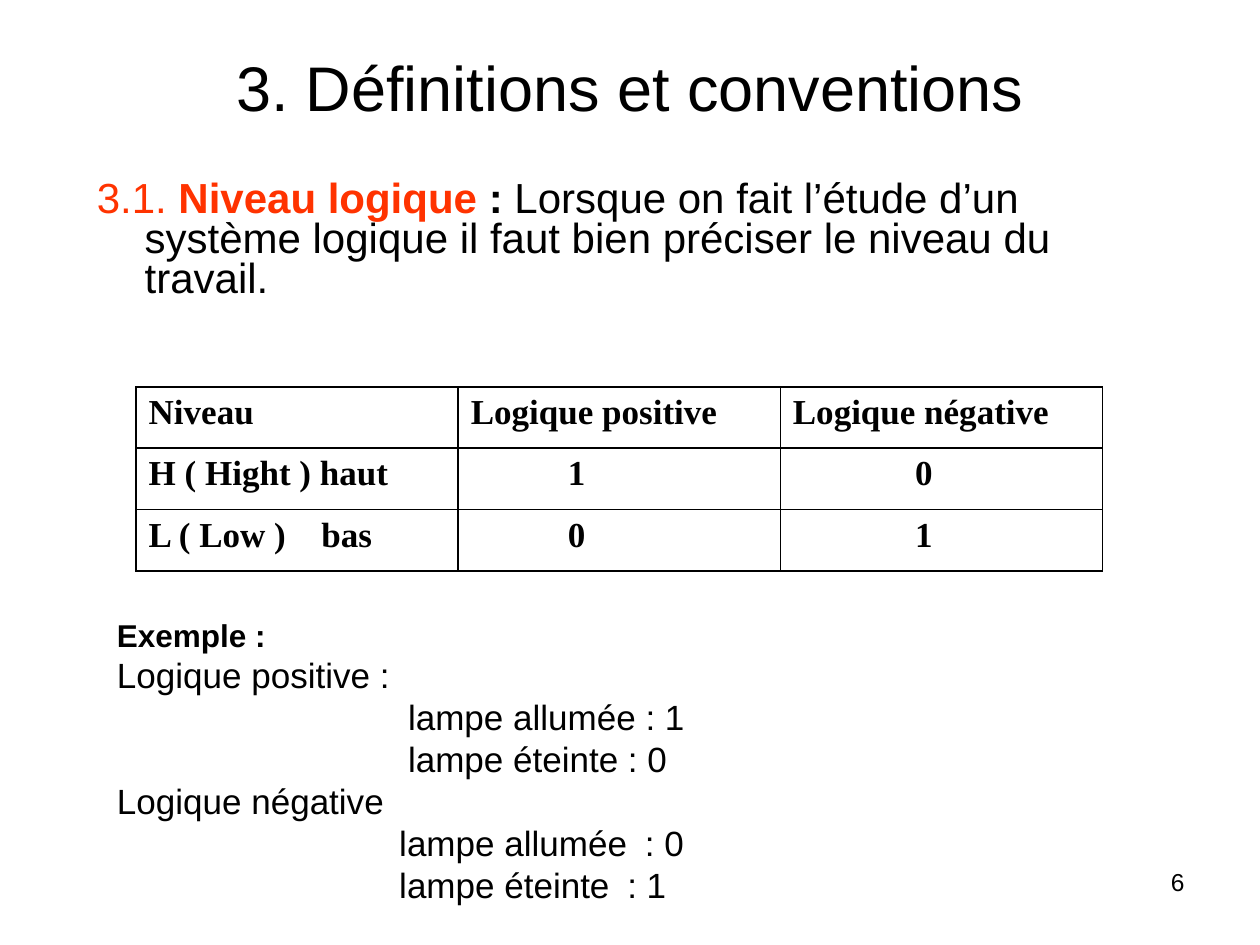
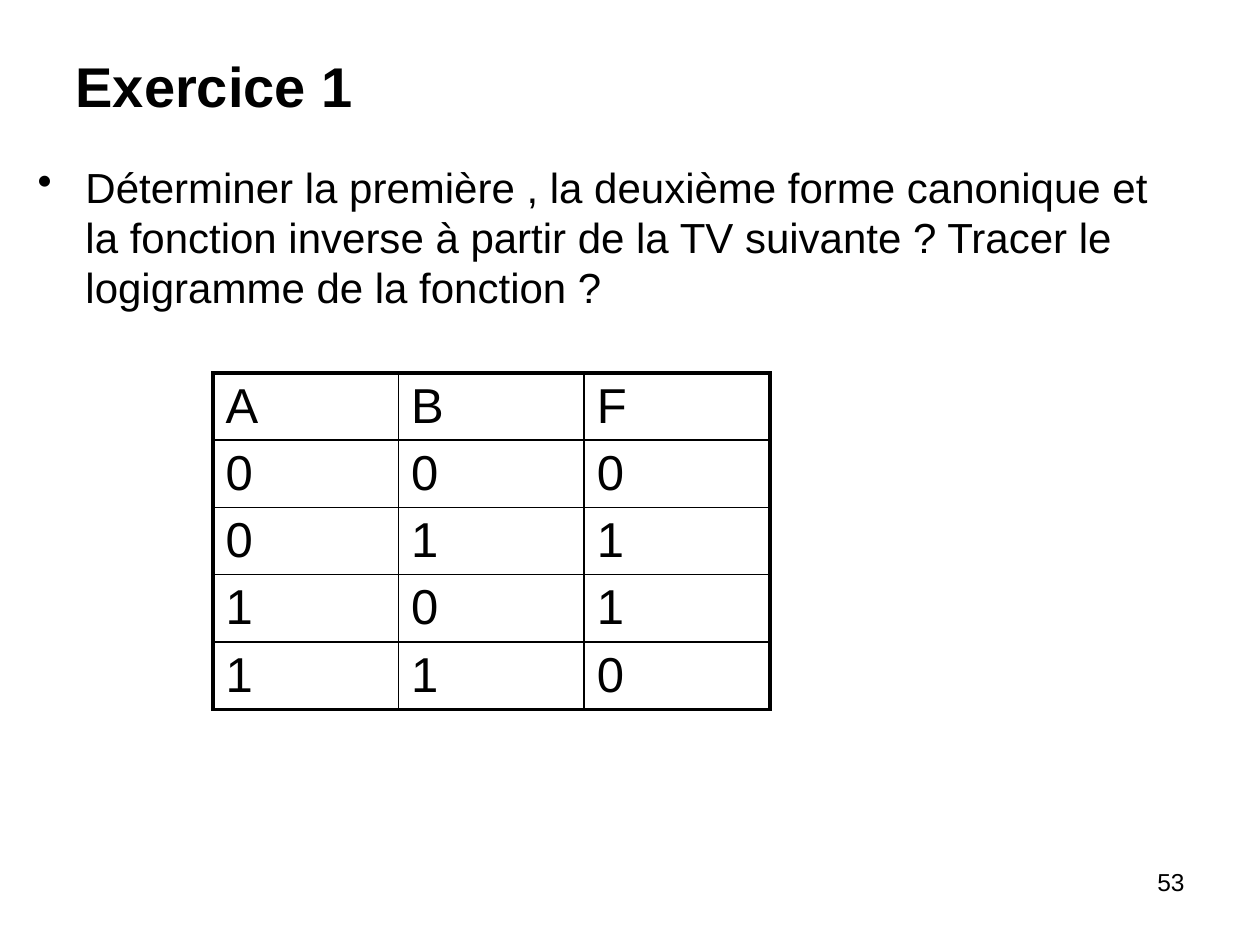
"""Build two slides of a logic course: level conventions and a truth table exercise."""
from lxml.etree import SubElement
from pptx import Presentation
from pptx.dml.color import RGBColor
from pptx.enum.text import MSO_ANCHOR, PP_ALIGN
from pptx.oxml import parse_xml
from pptx.oxml.ns import nsdecls, qn
from pptx.util import Inches, Pt

BLACK = RGBColor(0, 0, 0)
RED = RGBColor(0xFF, 0x33, 0x00)
SANS, SERIF = "Arial", "Times New Roman"
LEADING = 1.2
HANGING = 0.38
THIN, THICK = 1, 2.25

DEFINITION = [
    ("3.1. ", RED, False),
    ("Niveau logique", RED, True),
    (" :", BLACK, True),
    (" Lorsque on fait l’étude d’un système logique il faut bien préciser "
     "le niveau du travail.", BLACK, False),
]
LEVELS = [
    ["Niveau", "Logique positive", "Logique négative"],
    ["H ( Hight ) haut", "\t1", "\t0"],
    ["L ( Low )\tbas", "\t0", "\t1"],
]
LEVEL_TABS = [1.37, 0.77, 0.97]
EXAMPLES = [
    ("Logique positive :", []),
    ("\tlampe allumée : 1", [2.31]),
    ("\tlampe éteinte : 0", [2.31]),
    ("Logique négative", []),
    ("\tlampe allumée\t: 0", [2.24, 4.19]),
    ("\tlampe éteinte\t: 1", [2.24, 4.05]),
]
QUESTION = ("Déterminer la première , la deuxième forme canonique et la fonction "
            "inverse à partir de la TV suivante ? Tracer le logigramme de la fonction ?")
TRUTH_TABLE = ["ABF", "000", "011", "101", "110"]


def style(paragraph, size, bold=False, name=SANS, color=BLACK, line=None):
    """Set the font of a paragraph and, if given, its exact line height."""
    font = paragraph.font
    font.size, font.bold, font.name = Pt(size), bold, name
    font.color.rgb = color
    if line:
        paragraph.line_spacing = Pt(line)


def add_tabs(paragraph, stops):
    """Add left tab stops, in inches."""
    if stops:
        tab_list = SubElement(paragraph._p.get_or_add_pPr(), qn("a:tabLst"))
        for stop in stops:
            SubElement(tab_list, qn("a:tab"), pos=str(Inches(stop)), algn="l")


def hang(paragraph, bullet=None):
    """Give a paragraph a hanging indent and an optional bullet."""
    properties = paragraph._p.get_or_add_pPr()
    properties.set("marL", str(Inches(HANGING)))
    properties.set("indent", str(-Inches(HANGING)))
    if bullet:
        SubElement(properties, qn("a:buChar"), char=bullet)


def add_text_box(slide, *box):
    """Add a wrapping text box and return its text frame."""
    frame = slide.shapes.add_textbox(*map(Inches, box)).text_frame
    frame.word_wrap = True
    return frame


def add_slide(presentation, title, height, size, line, number, bold, alignment):
    """Add a slide with its title and page number."""
    slide = presentation.slides.add_slide(presentation.slide_layouts[5])
    shape = slide.shapes.title
    shape.left, shape.top, shape.width, shape.height = map(Inches, (0.5, 0.3, 9, height))
    shape.text_frame.text = title
    shape.text_frame.vertical_anchor = MSO_ANCHOR.MIDDLE
    paragraph = shape.text_frame.paragraphs[0]
    paragraph.alignment = alignment
    style(paragraph, size, bold, line=line)

    paragraph = add_text_box(slide, 7.17, 6.83, 2.33, 0.52).paragraphs[0]
    paragraph.text = str(number)
    paragraph.alignment = PP_ALIGN.RIGHT
    style(paragraph, 14, line=14 * LEADING)
    return slide


def set_borders(cell, widths):
    """Draw the left, right, top and bottom borders of a cell."""
    properties = cell._tc.get_or_add_tcPr()
    for index, (side, width) in enumerate(zip("LRTB", widths)):
        properties.insert(index, parse_xml(
            f'<a:ln{side} {nsdecls("a")} w="{Pt(width)}"><a:solidFill>'
            f'<a:srgbClr val="{BLACK}"/></a:solidFill></a:ln{side}>'))


def add_grid(slide, rows, box, outer, tabs=None, **text_style):
    """Add a ruled table with equal rows and columns and a given outer line width."""
    last_row, last_column = len(rows) - 1, len(rows[0]) - 1
    table = slide.shapes.add_table(last_row + 1, last_column + 1, *map(Inches, box)).table
    table.first_row = table.horz_banding = False
    for r, row in enumerate(rows):
        for c, text in enumerate(row):
            cell = table.cell(r, c)
            cell.text = text
            cell.fill.background()
            edges = (c == 0, c == last_column, r == 0, r == last_row)
            set_borders(cell, [outer if edge else THIN for edge in edges])
            paragraph = cell.text_frame.paragraphs[0]
            if tabs and "\t" in text:
                add_tabs(paragraph, [tabs[c]])
            style(paragraph, **text_style)


def build_definitions(presentation):
    """Build the slide on logic levels."""
    slide = add_slide(presentation, "3. Définitions et conventions", 0.77, 36, 36 * LEADING,
                      6, False, PP_ALIGN.CENTER)
    paragraph = add_text_box(slide, 0.67, 1.39, 8.27, 1.42).paragraphs[0]
    hang(paragraph)
    style(paragraph, 24, line=23)
    for text, color, bold in DEFINITION:
        run = paragraph.add_run()
        run.text = text
        run.font.size, run.font.name, run.font.bold = Pt(24), SANS, bold
        run.font.color.rgb = color

    frame = add_text_box(slide, 0.83, 4.84, 8.51, 2.4)
    heading = frame.paragraphs[0]
    heading.text = "Exemple :"
    style(heading, 18, True, line=18 * LEADING)
    for text, stops in EXAMPLES:
        paragraph = frame.add_paragraph()
        paragraph.text = text
        add_tabs(paragraph, stops)
        style(paragraph, 20, line=20 * LEADING)

    add_grid(slide, LEVELS, (1.08, 3.07, 7.67, 1.46), THIN, LEVEL_TABS,
             size=20, bold=True, name=SERIF)


def build_exercise(presentation):
    """Build the slide with the truth table exercise."""
    slide = add_slide(presentation, "Exercice 1", 0.61, 32, 49, 53, True, PP_ALIGN.LEFT)
    paragraph = add_text_box(slide, 0.2, 1.23, 9.21, 1.65).paragraphs[0]
    paragraph.text = QUESTION
    hang(paragraph, "•")
    style(paragraph, 24, line=24 * LEADING)
    add_grid(slide, TRUTH_TABLE, (1.69, 2.96, 4.42, 2.67), THICK, size=28, line=31)


def main():
    """Create and save the presentation."""
    presentation = Presentation()
    presentation.slide_width, presentation.slide_height = Inches(10), Inches(7.5)
    build_definitions(presentation)
    build_exercise(presentation)
    presentation.save("out.pptx")


if __name__ == "__main__":
    main()
